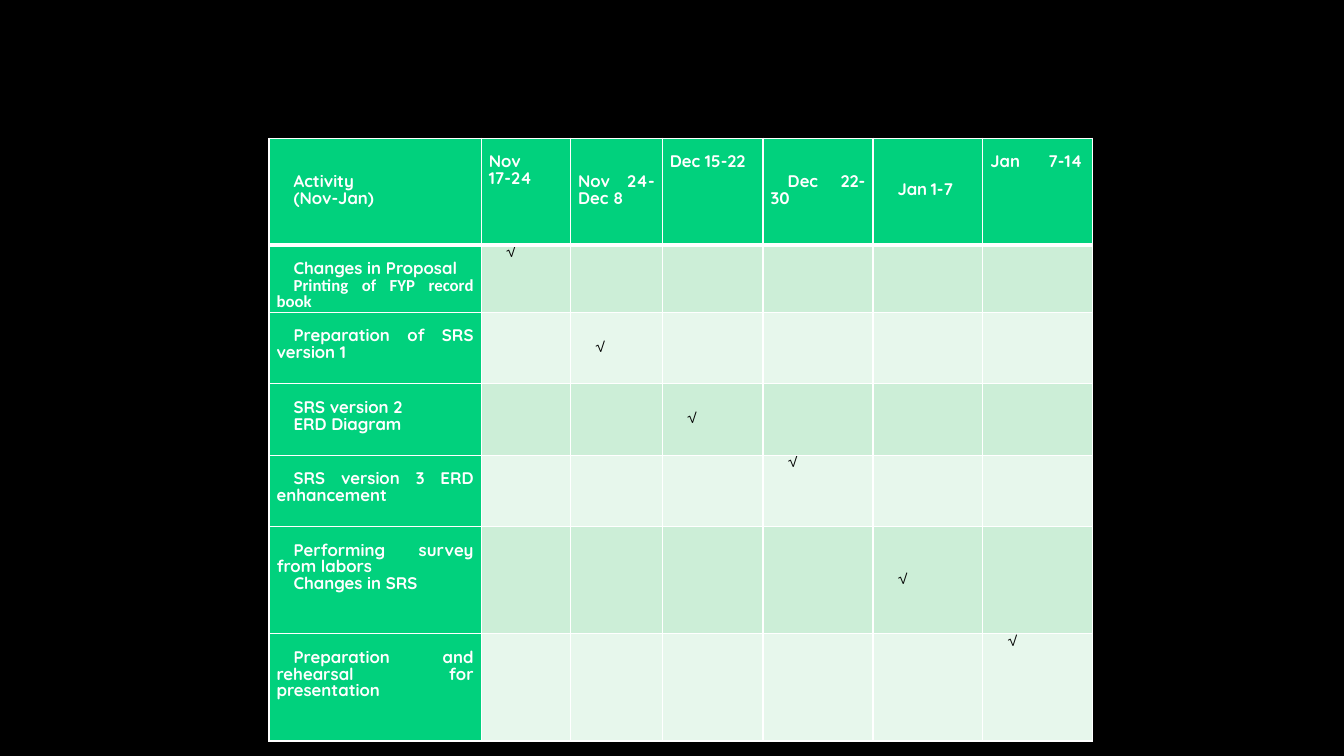
from dataclasses import dataclass

from lxml.etree import SubElement as Sub
from pptx import Presentation
from pptx.dml.color import RGBColor as RGB
from pptx.enum.text import MSO_ANCHOR as Anchor, PP_ALIGN as Align
from pptx.oxml.ns import qn
from pptx.util import Cm, Pt


@dataclass(frozen=True)
class Theme:
    back: str = "000000"
    green: str = "01D17D"
    bands: tuple = ("CCEED7", "E7F7EC")
    light: str = "FFFFFF"
    dark: str = "000000"
    font: str = "Quicksand"
    alt: str = "Calibri"
    size: float = 12
    thin: float = 1
    thick: float = 3


THEME = Theme()
LINE = Pt(THEME.size)
INDENT = Cm(0.43)
COLS = (5.35, 2.25, 2.31, 2.54, 2.77, 2.77, 2.77)
ROWS = (2.7, 1.68, 1.8, 1.8, 1.8, 2.7, 2.7)

# Lines, middle anchor, first-line indent, tab stop in cm
HEADS = (
    (("Activity", "(Nov-Jan)"), True, True, None),
    (("Nov", "17-24"), False, False, None),
    (("Nov 24-Dec 8",), True, False, None),
    (("Dec 15-22",), False, False, None),
    (("Dec 22-30",), True, True, None),
    (("Jan\t1-7",), True, True, 1.75),
    (("Jan\t7-14",), False, False, 1.46),
)
# Lines, middle anchor of the tick
TASKS = (
    (("Changes in Proposal", "Printing of FYP record book"), False),
    (("Preparation of SRS version 1",), True),
    (("SRS version 2", "ERD Diagram"), True),
    (("SRS version 3 ERD enhancement",), False),
    (("Performing survey from labors", "Changes in SRS"), True),
    (("Preparation and rehearsal for presentation",), False),
)


def paint(cell, color, top=THEME.thin, low=THEME.thin):
    """Set the cell's margins, borders and fill."""
    cell.margin_left = cell.margin_right = Cm(0.19)
    cell.margin_top = cell.margin_bottom = 0
    props = cell._tc.get_or_add_tcPr()
    for side, width in zip("LRTB", (THEME.thin, THEME.thin, top, low)):
        line = Sub(props, qn(f"a:ln{side}"), w=str(Pt(width)))
        fill = Sub(line, qn("a:solidFill"))
        Sub(fill, qn("a:srgbClr"), val=THEME.light)
    cell.fill.solid()
    cell.fill.fore_color.rgb = RGB.from_string(color)


def write(cell, lines, middle=False, indent=True, tab=None, bold=True, drop=True):
    """Fill the cell with justified lines; drop starts top text one line lower."""
    cell.vertical_anchor = Anchor.MIDDLE if middle else Anchor.TOP
    if drop and not middle:
        cell.margin_top = LINE
    frame = cell.text_frame
    frame.text = "\n".join(lines)
    for para in frame.paragraphs:
        para.alignment = Align.JUSTIFY
        para.line_spacing = LINE
        props = para._p.get_or_add_pPr()
        if indent:
            props.set("indent", str(INDENT))
        if tab:
            stops = Sub(props, qn("a:tabLst"))
            Sub(stops, qn("a:tab"), pos=str(Cm(tab)), algn="l")
        font = para.font
        font.name = THEME.font
        font.size = LINE
        font.bold = bold
        font.color.rgb = RGB.from_string(THEME.light if bold else THEME.dark)


def add_grid(slide):
    shape = slide.shapes.add_table(
        len(ROWS), len(COLS), Cm(6.78), Cm(3.48), Cm(sum(COLS)), Cm(sum(ROWS)))
    grid = shape.table
    for col, width in zip(grid.columns, COLS):
        col.width = Cm(width)
    for row, height in zip(grid.rows, ROWS):
        row.height = Cm(height)
    return grid


def add_heads(grid):
    for col, head in enumerate(HEADS):
        cell = grid.cell(0, col)
        paint(cell, THEME.green, low=THEME.thick)
        write(cell, *head)


def add_tasks(grid):
    """Write each task with its tick one column further right."""
    for row, (lines, middle) in enumerate(TASKS, 1):
        band = THEME.bands[(row - 1) % 2]
        top = THEME.thick if row == 1 else THEME.thin
        for col in range(len(COLS)):
            paint(grid.cell(row, col), band if col else THEME.green, top=top)
        write(grid.cell(row, 0), lines)
        write(grid.cell(row, row), ("√",), middle, bold=False, drop=False)
    grid.cell(1, 0).text_frame.paragraphs[1].font.name = THEME.alt


def main():
    deck = Presentation()
    deck.slide_width, deck.slide_height = Cm(33.87), Cm(19.05)
    slide = deck.slides.add_slide(deck.slide_layouts[6])
    slide.background.fill.solid()
    slide.background.fill.fore_color.rgb = RGB.from_string(THEME.back)
    grid = add_grid(slide)
    add_heads(grid)
    add_tasks(grid)
    deck.save("out.pptx")


if __name__ == "__main__":
    main()
